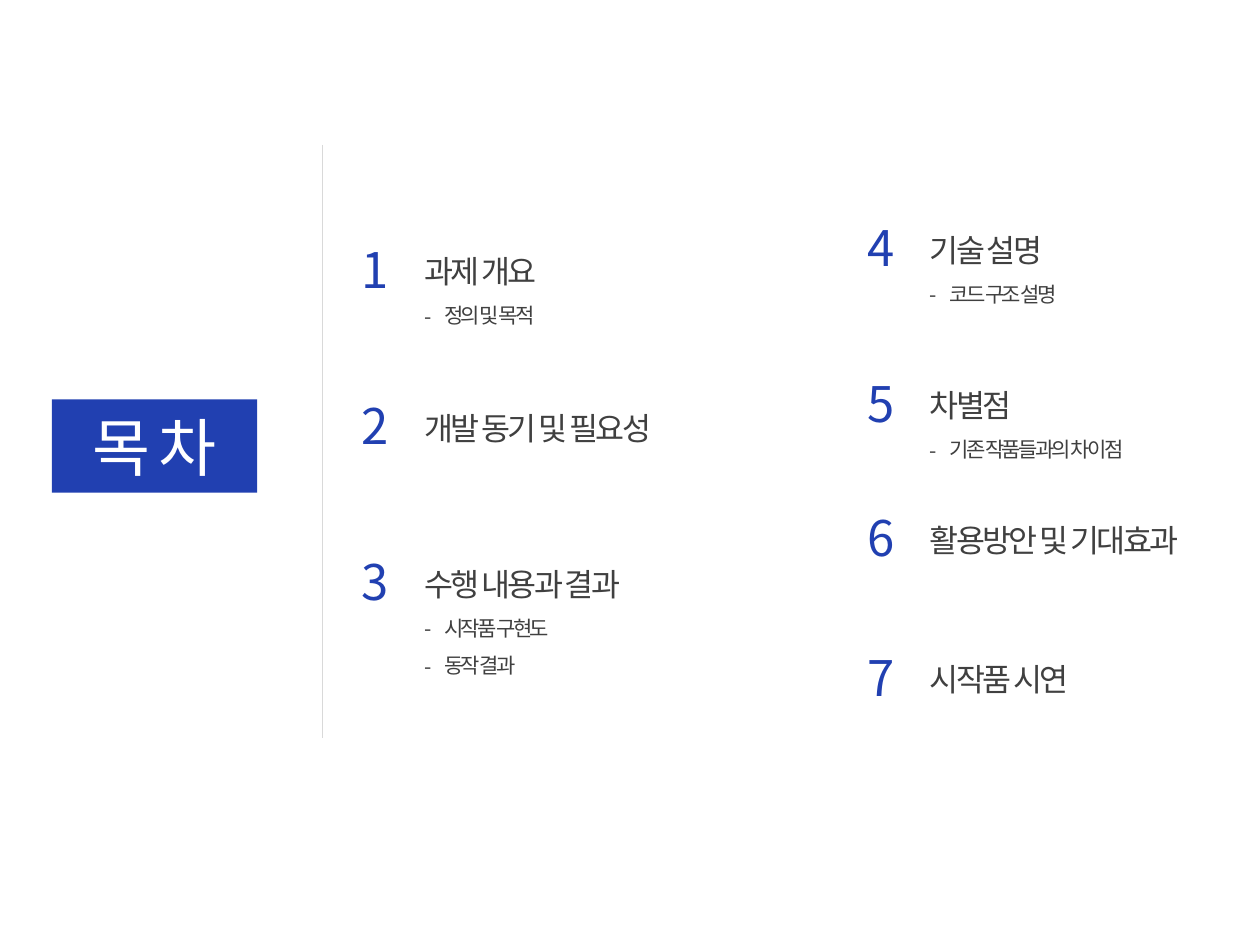
from lxml import etree
from pptx import Presentation
from pptx.dml.color import RGBColor
from pptx.enum import shapes, text
from pptx.oxml import ns
from pptx.util import Pt

FONT = "Noto Sans CJK KR"
BLUE, GREY, PALE, WHITE = "2140B1", "404040", "D9D9D9", "FFFFFF"


def rgb(value):
    return RGBColor.from_string(value)


def style(paragraph, size, color):
    for run in paragraph.runs:
        run.font.size = Pt(size)
        run.font.name = FONT
        run.font.color.rgb = rgb(color)
        properties = run.font._element
        properties.set("spc", "-150")
        etree.SubElement(properties, ns.qn("a:ea"), typeface=FONT)


prs = Presentation()
prs.slide_width, prs.slide_height = Pt(720), Pt(540)
slide = prs.slides.add_slide(prs.slide_layouts[5])

heading = slide.shapes.title
heading.left, heading.top, heading.width, heading.height = Pt(29.6), Pt(228.2), Pt(117.4), Pt(53.3)
heading.fill.solid()
heading.fill.fore_color.rgb = rgb(BLUE)
heading.text_frame.text = "목 차"
heading.text_frame.auto_size = text.MSO_AUTO_SIZE.NONE
heading.text_frame.word_wrap = False
heading.text_frame.vertical_anchor = text.MSO_ANCHOR.MIDDLE
heading.text_frame.paragraphs[0].alignment = text.PP_ALIGN.CENTER
style(heading.text_frame.paragraphs[0], 36, WHITE)

divider = slide.shapes.add_connector(
    shapes.MSO_CONNECTOR.STRAIGHT, Pt(184.3), Pt(82.8), Pt(184.3), Pt(422))
divider.line.color.rgb = rgb(PALE)
divider.line.width = Pt(1)
etree.SubElement(divider._element.spPr, ns.qn("a:effectLst"))

columns = [
    (184.3, 176, [
        (133.2, "과제 개요", ["정의 및 목적"]),
        (222.5, "개발 동기 및 필요성", []),
        (311.8, "수행 내용과 결과", ["시작품 구현도", "동작 결과"]),
    ]),
    (473.2, 164, [
        (121, "기술 설명", ["코드 구조 설명"]),
        (209.8, "차별점", ["기존 작품들과의 차이점"]),
        (286.6, "활용방안 및 기대효과", []),
        (366.2, "시작품 시연", []),
    ]),
]

number = 0
for left, width, chapters in columns:
    for top, chapter, topics in chapters:
        number += 1
        numeral = slide.shapes.add_textbox(Pt(left), Pt(top), Pt(60.5), Pt(41)).text_frame
        numeral.word_wrap = True
        numeral.text = str(number)
        numeral.paragraphs[0].alignment = text.PP_ALIGN.CENTER
        style(numeral.paragraphs[0], 28, BLUE)

        entry = slide.shapes.add_textbox(
            Pt(left + 51.1), Pt(top - 3.4), Pt(width), Pt(37.4 + 22.4 * len(topics))).text_frame
        entry.word_wrap = True
        entry.text = "\n".join([chapter] + topics)
        for index, paragraph in enumerate(entry.paragraphs):
            if index:
                properties = paragraph._p.get_or_add_pPr()
                properties.set("marL", str(Pt(11.4)))
                properties.set("indent", str(-Pt(11.4)))
                etree.SubElement(properties, ns.qn("a:buFont"), typeface=FONT)
                etree.SubElement(properties, ns.qn("a:buChar"), char="-")
            paragraph.line_spacing = 1.5
            style(paragraph, 12 if index else 18, GREY)

prs.save("out.pptx")
